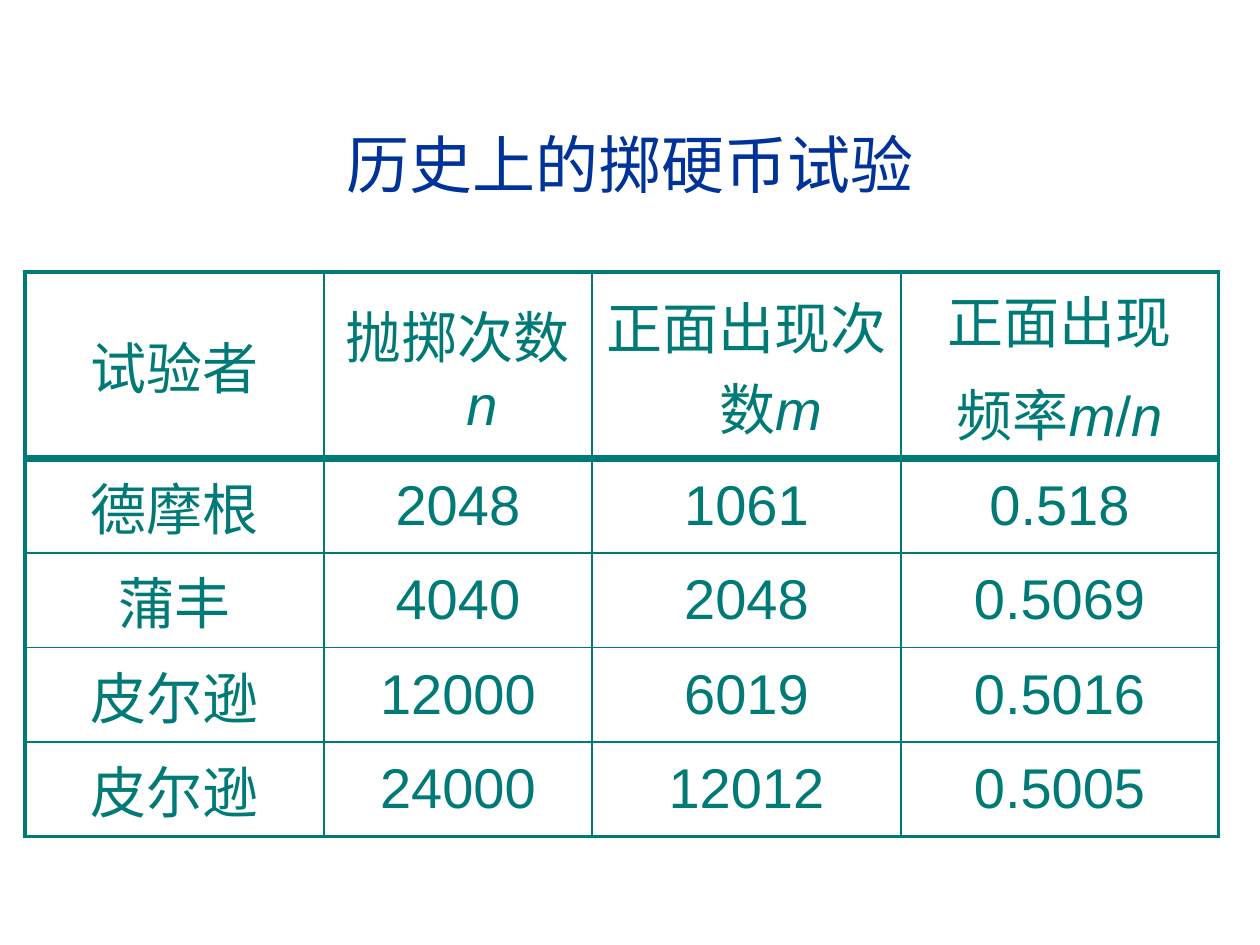
from lxml.etree import SubElement
from pptx import Presentation
from pptx.dml.color import RGBColor
from pptx.enum.text import MSO_ANCHOR as ANCHOR, PP_ALIGN as ALIGN
from pptx.oxml.ns import qn
from pptx.util import Inches, Pt

# Content: a cell is a list of paragraphs, a paragraph a list of runs
TITLE = "历史上的掷硬币试验"
HEADER = [
    [["试验者"]],
    [["抛掷次数", "n"]],
    [["正面出现次数", "m"]],
    [["正面出现"], ["频率", "m", "/", "n"]],
]
TRIALS = [
    ("德摩根", "2048", "1061", "0.518"),
    ("蒲丰", "4040", "2048", "0.5069"),
    ("皮尔逊", "12000", "6019", "0.5016"),
    ("皮尔逊", "24000", "12012", "0.5005"),
]
VARIABLES = {"m", "n"}

# Format
NAVY, TEAL = "003399", "007A77"
COLUMNS = [2.37, 2.13, 2.45, 2.52]
HEADER_HEIGHT, TRIAL_HEIGHT = 1.48, 0.75
THIN, OUTER, RULE = 1, 2.25, 4.5
INDENT = 0.38


def rgb(code):
    return RGBColor.from_string(code)


def add_run(paragraph, text, size, color):
    run = paragraph.add_run()
    run.text = text
    style = {"name": "Arial", "size": Pt(size), "italic": text in VARIABLES}
    for key, value in style.items():
        setattr(run.font, key, value)
    run.font.color.rgb = rgb(color)


def add_border(cell, side, width):
    line = SubElement(cell._tc.get_or_add_tcPr(), qn(f"a:ln{side}"), w=str(Pt(width)))
    SubElement(SubElement(line, qn("a:solidFill")), qn("a:srgbClr"), val=TEAL)


def fill_cell(cell, paragraphs):
    frame = cell.text_frame
    for i, runs in enumerate(paragraphs):
        paragraph = frame.add_paragraph() if i else frame.paragraphs[0]
        paragraph.alignment = ALIGN.CENTER
        paragraph.space_before = Pt(6.4 if i else 0)
        properties = paragraph._p.get_or_add_pPr()
        properties.set("marL", str(Inches(INDENT)))
        properties.set("indent", str(Inches(-INDENT)))
        for text in runs:
            add_run(paragraph, text, 32, TEAL)
    cell.vertical_anchor = ANCHOR.MIDDLE


prs = Presentation()
prs.slide_width, prs.slide_height = Inches(10), Inches(7.5)
slide = prs.slides.add_slide(prs.slide_layouts[6])

# Title
title = slide.shapes.add_textbox(
    Inches(0.33), Inches(0.67), Inches(9.34), Inches(1.25)).text_frame
title.word_wrap = True
title.vertical_anchor = ANCHOR.MIDDLE
title.paragraphs[0].alignment = ALIGN.CENTER
add_run(title.paragraphs[0], TITLE, 36, NAVY)

# Table of trials
rows = [HEADER] + [[[[text]] for text in trial] for trial in TRIALS]
heights = [HEADER_HEIGHT] + [TRIAL_HEIGHT] * len(TRIALS)
table = slide.shapes.add_table(
    len(rows), len(COLUMNS), Inches(0.2), Inches(2.16),
    Inches(sum(COLUMNS)), Inches(sum(heights))).table
for column, width in zip(table.columns, COLUMNS):
    column.width = Inches(width)
for row, height in zip(table.rows, heights):
    row.height = Inches(height)

# Rule widths from outer edge to outer edge
across = [OUTER] + [THIN] * (len(COLUMNS) - 1) + [OUTER]
down = [OUTER, RULE] + [THIN] * (len(TRIALS) - 1) + [OUTER]
for r, row in enumerate(rows):
    for c, paragraphs in enumerate(row):
        cell = table.cell(r, c)
        fill_cell(cell, paragraphs)
        borders = {"L": across[c], "R": across[c + 1], "T": down[r], "B": down[r + 1]}
        for side, width in borders.items():
            add_border(cell, side, width)
        cell.fill.background()

prs.save("out.pptx")
